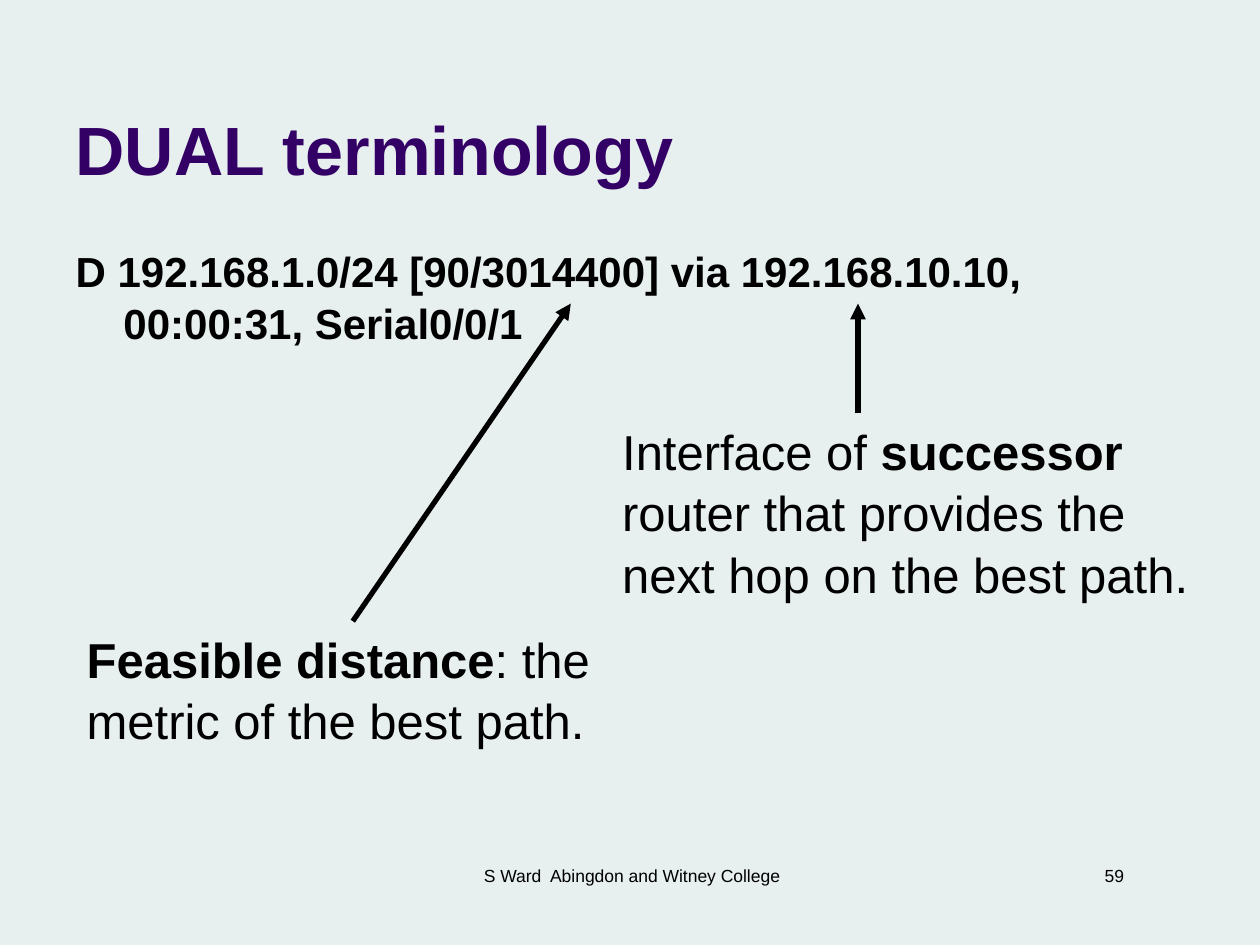
from dataclasses import dataclass

from lxml import etree
from pptx import Presentation
from pptx.dml.color import RGBColor
from pptx.enum.shapes import MSO_CONNECTOR
from pptx.enum.text import MSO_ANCHOR, MSO_AUTO_SIZE, PP_ALIGN
from pptx.oxml.ns import qn
from pptx.util import Inches, Pt

STRAIGHT = MSO_CONNECTOR.STRAIGHT
TOP, BOTTOM = MSO_ANCHOR.TOP, MSO_ANCHOR.BOTTOM
NO_FIT = MSO_AUTO_SIZE.NONE
LEFT, CENTER, RIGHT = PP_ALIGN.LEFT, PP_ALIGN.CENTER, PP_ALIGN.RIGHT


@dataclass(frozen=True)
class Theme:
    font: str = "Arial"
    background: RGBColor = RGBColor(0xE7, 0xEF, 0xEF)
    heading: RGBColor = RGBColor(0x33, 0x00, 0x66)
    ink: RGBColor = RGBColor(0, 0, 0)
    title_size: int = 39
    route_size: int = 24
    note_size: int = 28
    footer_size: int = 10
    arrow_width: int = 3
    line_spacing: float = 1.04


THEME = Theme()
WIDTH, HEIGHT = Inches(10), Inches(7.5)
COLUMNS, ROWS = 100, 75


def col(n):
    return round(WIDTH * n / COLUMNS)


def row(n):
    return round(HEIGHT * n / ROWS)


def place(sp, box):
    left, top, width, height = box
    sp.left, sp.top = col(left), row(top)
    sp.width, sp.height = col(width), row(height)


def write(sp, runs, size, color=THEME.ink, align=LEFT, anchor=TOP, spacing=1.0):
    """Fill a shape with one paragraph of (text, bold) runs."""
    tf = sp.text_frame
    tf.word_wrap = True
    tf.auto_size = NO_FIT
    tf.vertical_anchor = anchor
    p = tf.paragraphs[0]
    p.alignment = align
    p.space_before = Pt(0)
    p.line_spacing = spacing
    for text, bold in runs:
        r = p.add_run()
        r.text = text
        r.font.name = THEME.font
        r.font.size = Pt(size)
        r.font.bold = bold
        r.font.color.rgb = color
    return p


def add_text(slide, box, runs, size, **style):
    sp = slide.shapes.add_textbox(0, 0, 0, 0)
    place(sp, box)
    write(sp, runs, size, **style)


def add_title(slide, box, text):
    sp = slide.shapes.title
    place(sp, box)
    write(sp, [(text, True)], THEME.title_size, THEME.heading, anchor=BOTTOM)


def add_route(slide, box, text):
    """Routing table entry with a hanging indent and no bullet."""
    sp = slide.placeholders[1]
    place(sp, box)
    p = write(sp, [(text, True)], THEME.route_size, spacing=THEME.line_spacing)
    pPr = p._p.get_or_add_pPr()
    pPr.set("marL", str(col(3.8)))
    pPr.set("indent", str(-col(3.8)))
    etree.SubElement(pPr, qn("a:buNone"))


def add_note(slide, box, runs, arrow_col, target):
    """Explanation with an arrow from its top edge up to the route."""
    add_text(slide, box, runs, THEME.note_size, spacing=THEME.line_spacing)
    target_col, target_row = target
    line = slide.shapes.add_connector(
        STRAIGHT, col(box[0] + arrow_col), row(box[1]), col(target_col), row(target_row))
    line.line.color.rgb = THEME.ink
    line.line.width = Pt(THEME.arrow_width)
    etree.SubElement(line.line._get_or_add_ln(), qn("a:tailEnd"), type="triangle")
    etree.SubElement(line._element.spPr, qn("a:effectLst"))


def add_footer(slide, top, text, number):
    add_text(slide, (34.3, top, 31.7, 5), [(text, False)], THEME.footer_size, align=CENTER)
    add_text(slide, (69.7, top, 20.5, 2.7), [(number, False)], THEME.footer_size, align=RIGHT)


def main():
    prs = Presentation()
    prs.slide_width, prs.slide_height = WIDTH, HEIGHT
    slide = prs.slides.add_slide(prs.slide_layouts[1])
    slide.background.fill.solid()
    slide.background.fill.fore_color.rgb = THEME.background

    # Heading and routing table entry
    add_title(slide, (5, 1.3, 82.5, 14.2), "DUAL terminology")
    add_route(slide, (5, 18.8, 90, 10),
              "D 192.168.1.0/24 [90/3014400] via 192.168.10.10, 00:00:31, Serial0/0/1")

    # Notes pointing at parts of the entry
    arrow_row = 24.1
    add_note(slide, (48.4, 32.8, 47.3, 15),
             [("Interface of ", False), ("successor", True),
              (" router that provides the next hop on the best path.", False)],
             19.7, (68.1, arrow_row))
    add_note(slide, (5.9, 49.3, 47.3, 10.4),
             [("Feasible distance", True), (": the metric of the best path.", False)],
             22.1, (45.3, arrow_row))

    # Footer
    add_footer(slide, 68.2, "S Ward  Abingdon and Witney College", "59")
    prs.save("out.pptx")


if __name__ == "__main__":
    main()
